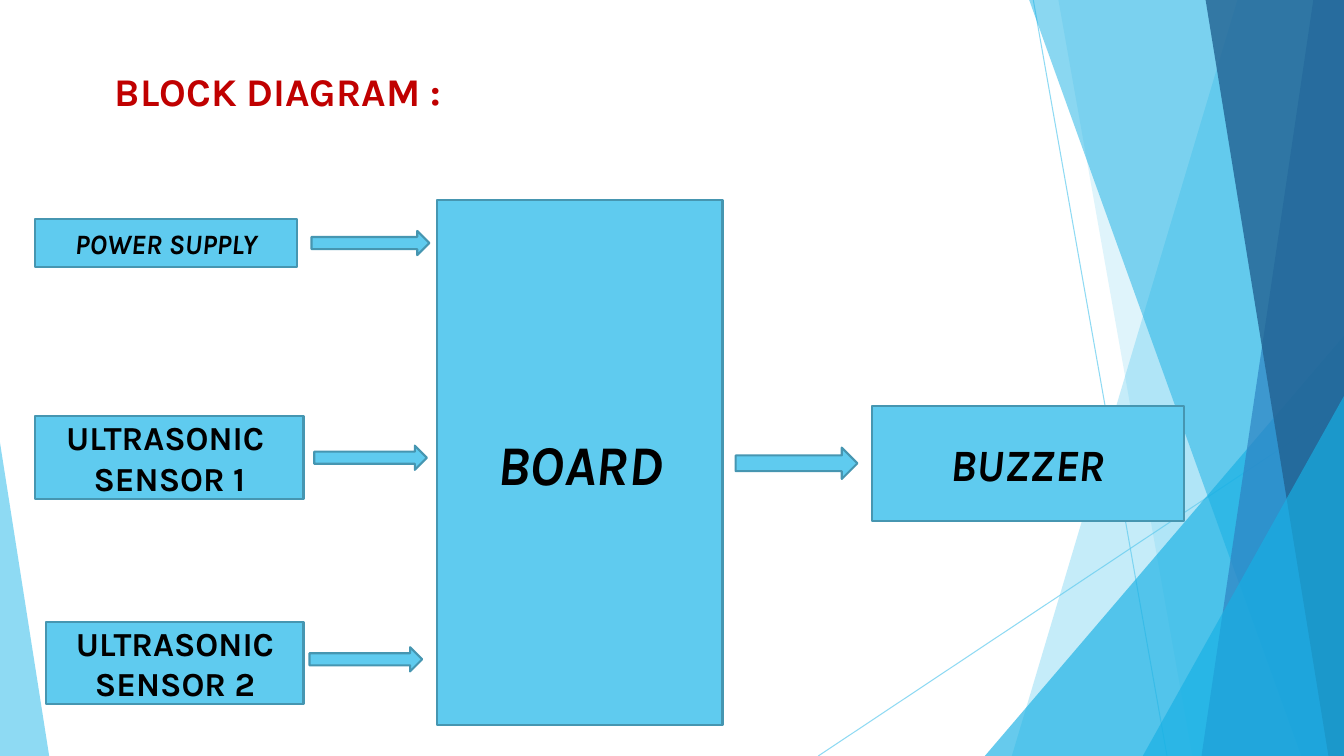
from lxml.etree import SubElement
from pptx import Presentation
from pptx.dml.color import RGBColor
from pptx.enum.shapes import MSO_CONNECTOR, MSO_SHAPE
from pptx.enum.text import MSO_ANCHOR, PP_ALIGN
from pptx.oxml.ns import qn
from pptx.util import Cm, Pt

SKY = RGBColor(0x5F, 0xCB, 0xEF)
CYAN = RGBColor(0x17, 0xB0, 0xE4)
BLUE = RGBColor(0x2E, 0x83, 0xC3)
NAVY = RGBColor(0x22, 0x62, 0x92)
EDGE = RGBColor(0x46, 0x96, 0xB1)
RED = RGBColor(0xC0, 0x00, 0x00)
BLACK = RGBColor(0, 0, 0)
WIDE, HIGH = 33.87, 19.05

# Content; all lengths in cm
TITLE = "BLOCK DIAGRAM :"
RECT = MSO_SHAPE.RECTANGLE
BOXES = [  # shape, left, top, width, height, lines, size, italic
    (RECT, 11.02, 5.05, 7.19, 13.23, ["BOARD"], 40, True),
    (MSO_SHAPE.FLOWCHART_PROCESS, 0.89, 5.51, 6.6, 1.22,
     ["POWER SUPPLY"], 20, True),
    (RECT, 0.89, 10.49, 6.76, 2.08, ["ULTRASONIC ", "SENSOR 1"], 24, False),
    (RECT, 1.17, 15.67, 6.48, 2.08, ["ULTRASONIC", "SENSOR 2"], 24, False),
    (RECT, 21.97, 10.24, 7.87, 2.9, ["BUZZER"], 32, True),
]
ARROWS = [  # left, top, width, height
    (18.54, 11.28, 3.07, 0.79),
    (7.85, 5.82, 2.97, 0.61),
    (7.92, 11.23, 2.84, 0.61),
    (7.8, 16.31, 2.84, 0.61),
]

# Backdrop, from back to front
RAYS = [(26.04, 0, 29.41, HIGH), (WIDE, 10.24, 20.62, HIGH)]
FACETS = [  # band: top x, foot x; wedge: left, top, width, peak
    ("band", (31.19, 25.5), SKY, 36),
    ("band", (26.67, 30.05), SKY, 20),
    ("wedge", (24.82, 8.46, 9.05, 1), CYAN, 66),
    ("band", (25.93, 32.79), CYAN, 50),
    ("band", (33.1, 30.28), BLUE, 70),
    ("band", (30.38, 33.48), NAVY, 80),
    ("wedge", (28.8, 9.98, 5.07, 1), CYAN, 66),
    ("wedge", (0, 11.15, 1.24, 0), SKY, 70),
]


def fade(shape, alpha):
    tint = shape.element.find(".//" + qn("a:srgbClr"))
    SubElement(tint, qn("a:alpha")).set("val", str(alpha * 1000))


def paint(shape, color, edge=None):
    shape.shadow.inherit = False
    shape.fill.solid()
    shape.fill.fore_color.rgb = color
    if edge is None:
        shape.line.fill.background()
    else:
        shape.line.color.rgb = edge
        shape.line.width = Pt(1.5)


def style(font, **look):
    font.color.rgb = look.pop("color")
    for key, val in look.items():
        setattr(font, key, val)


def add_ray(shapes, ends):
    ray = shapes.add_connector(MSO_CONNECTOR.STRAIGHT, *map(Cm, ends))
    ray.line.color.rgb = SKY
    ray.line.width = Pt(0.75)
    fade(ray, 70)
    SubElement(ray.element.spPr, qn("a:effectLst"))


def add_facet(shapes, kind, place, color, alpha):
    if kind == "band":
        top, foot = place
        pen = shapes.build_freeform(Cm(top), Cm(-0.02))
        pen.add_line_segments([(Cm(WIDE), Cm(-0.02)), (Cm(WIDE), Cm(HIGH)),
                               (Cm(foot), Cm(HIGH))], close=True)
        facet = pen.convert_to_shape()
    else:
        left, top, width, peak = place
        facet = shapes.add_shape(MSO_SHAPE.ISOSCELES_TRIANGLE, Cm(left),
                                 Cm(top), Cm(width), Cm(HIGH - top))
        facet.adjustments[0] = peak
    paint(facet, color)
    fade(facet, alpha)


def add_box(shapes, kind, left, top, width, height, lines, size, italic):
    box = shapes.add_shape(kind, *map(Cm, (left, top, width, height)))
    paint(box, SKY, EDGE)
    frame = box.text_frame
    frame.word_wrap = True
    frame.vertical_anchor = MSO_ANCHOR.MIDDLE
    for i, line in enumerate(lines):
        para = frame.paragraphs[0] if i == 0 else frame.add_paragraph()
        para.alignment = PP_ALIGN.CENTER
        run = para.add_run()
        run.text = line
        style(run.font, name="Karla", size=Pt(size), bold=True,
              italic=italic, color=BLACK)


def add_title(title):
    spot = dict(left=2.64, top=1.57, width=15.9, height=1.45)
    for key, val in spot.items():
        setattr(title, key, Cm(val))
    frame = title.text_frame
    frame.text = TITLE
    frame.vertical_anchor = MSO_ANCHOR.MIDDLE
    para = frame.paragraphs[0]
    para.alignment = PP_ALIGN.LEFT
    style(para.runs[0].font, name="Karla", size=Pt(28), bold=True, color=RED)


def main():
    deck = Presentation()
    deck.slide_width, deck.slide_height = Cm(WIDE), Cm(HIGH)
    slide = deck.slides.add_slide(deck.slide_layouts[5])
    shapes = slide.shapes
    add_title(shapes.title)
    for ends in RAYS:
        add_ray(shapes, ends)
    for facet in FACETS:
        add_facet(shapes, *facet)
    for box in BOXES:
        add_box(shapes, *box)
    for spot in ARROWS:
        arrow = shapes.add_shape(MSO_SHAPE.RIGHT_ARROW, *map(Cm, spot))
        paint(arrow, SKY, EDGE)
    deck.save("out.pptx")


if __name__ == "__main__":
    main()
